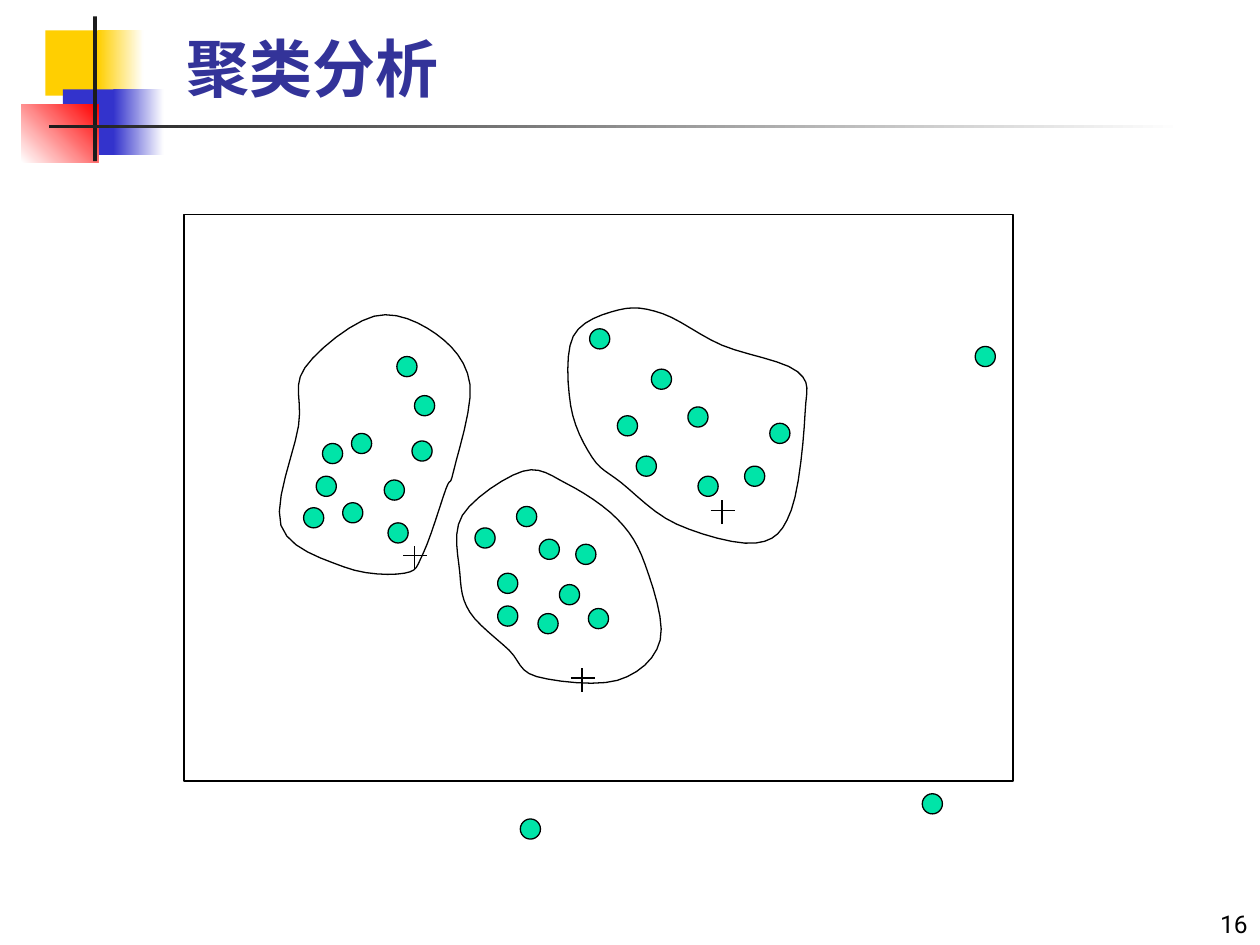
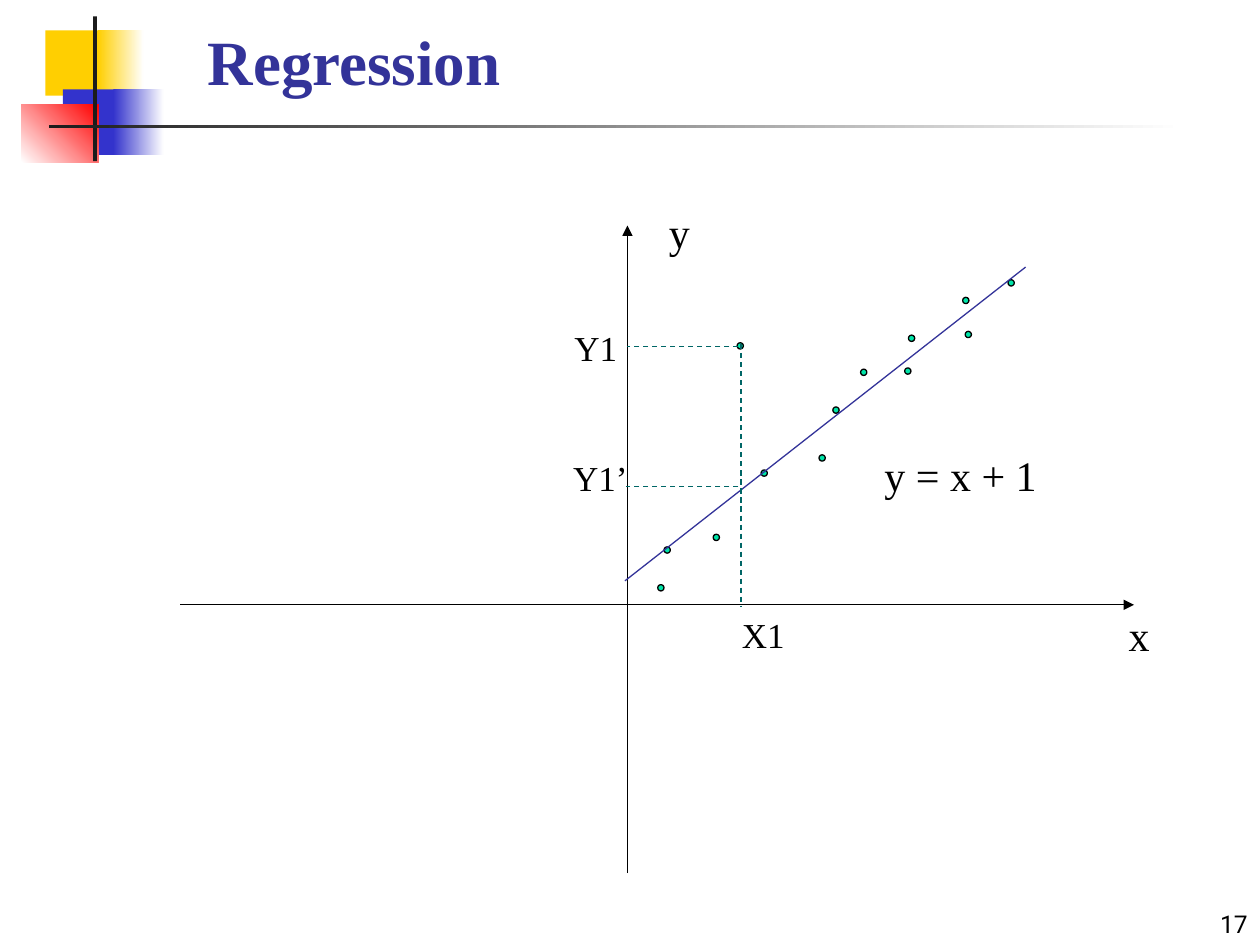
from dataclasses import dataclass
from typing import NamedTuple, Optional

from lxml import etree
from pptx import Presentation
from pptx import util as u
from pptx.dml.color import RGBColor
from pptx.enum import dml, shapes, text
from pptx.oxml import ns

SCALE = 9144  # EMU in one px: 100 px to the inch
STEPS = 6     # line pieces between two ring points


@dataclass(frozen=True)
class Theme:
    yellow: str = "FFCF01"
    blue: str = "3333CC"
    red: str = "FF0000"
    white: str = "FFFFFF"
    dark: str = "1C1C1C"
    black: str = "000000"
    navy: str = "333399"
    teal: str = "006666"
    mint: str = "00E4A8"
    serif: str = "Times New Roman"
    sans: str = "Roboto"
    title: int = 36
    large: int = 24
    mid: int = 20
    small: int = 14
    thin: float = 0.75


T = Theme()


class Box(NamedTuple):
    x: int
    y: int
    w: int
    h: int


class Band(NamedTuple):
    box: Box
    start: str
    end: Optional[str] = None
    angle: int = 0


class Rule(NamedTuple):
    x1: int
    y1: int
    x2: int
    y2: int
    color: str = T.black
    dash: bool = False
    arrow: bool = False


class Label(NamedTuple):
    words: str
    box: Box
    size: int
    font: str = T.serif
    color: str = T.black
    bold: bool = False
    wrap: bool = False
    right: bool = False
    low: bool = False


# Shared corner blocks and rules
BANDS = (
    Band(Box(36, 24, 48, 52), T.yellow),
    Band(Box(78, 24, 36, 52), T.yellow, T.white),
    Band(Box(50, 71, 46, 52), T.blue),
    Band(Box(90, 71, 40, 52), T.blue, T.white),
    Band(Box(17, 83, 61, 46), T.white, T.red, 45),
    Band(Box(74, 13, 3, 115), T.dark),
    Band(Box(39, 99, 900, 3), T.dark, T.white),
)

# Cluster slide: dots by top left corner, crosses by centre
FRAME = Box(146, 170, 658, 450)
LONE = ((732, 630), (413, 650), (774, 275))
LEFT = ((272, 399), (251, 378), (305, 381), (279, 344), (241, 403), (256, 352),
        (308, 415), (327, 350), (329, 314), (315, 283))
RIGHT = ((517, 293), (505, 362), (546, 323), (490, 330), (611, 336), (591, 370),
         (554, 378), (468, 261))
LOWER = ((377, 419), (457, 432), (427, 487), (444, 464), (395, 455), (395, 481),
         (410, 402), (428, 428), (467, 483))
MARKS = ((462, 538), (573, 405), (329, 441))

# Points that each cluster outline runs through
RINGS = (
    ((633, 295), (639, 328), (628, 405), (600, 431), (537, 416), (493, 383),
     (470, 363), (453, 322), (455, 267), (491, 246), (526, 249), (573, 274)),
    ((404, 516), (373, 486), (365, 455), (367, 409), (415, 374), (450, 384),
     (490, 412), (512, 448), (524, 508), (490, 540), (426, 537)),
    ((354, 388), (336, 439), (321, 455), (273, 450), (223, 417), (237, 338),
     (242, 292), (297, 251), (346, 265), (373, 305), (360, 374)),
)

# Regression slide
AXES = (Rule(143, 480, 900, 480, arrow=True), Rule(498, 693, 498, 179, arrow=True))
FIT = Rule(496, 461, 814, 212, T.navy)
GUIDES = (
    Rule(588, 273, 588, 482, T.teal, dash=True),
    Rule(586, 275, 498, 275, T.teal, dash=True),
    Rule(586, 386, 497, 386, T.teal, dash=True),
)
POINTS = ((650, 361), (604, 373), (585, 272), (566, 424), (661, 323), (683, 293),
          (527, 434), (718, 292), (721, 266), (766, 263), (522, 464), (764, 236),
          (800, 222))
NAMES = (
    Label("x", Box(886, 479, 36, 50), T.large),
    Label("y", Box(521, 159, 36, 50), T.large),
    Label("y = x + 1", Box(692, 352, 141, 50), T.large),
)
TICKS = (
    Label("X1", Box(579, 482, 54, 44), T.mid),
    Label("Y1", Box(446, 254, 54, 44), T.mid),
    Label("Y1’", Box(445, 357, 63, 44), T.mid),
)


# Drawing tools
def px(n: float) -> u.Emu:
    return u.Emu(round(n * SCALE))


def rgb(code: str) -> RGBColor:
    return RGBColor.from_string(code)


def ink(line, color: str = T.black) -> None:
    line.color.rgb = rgb(color)
    line.width = u.Pt(T.thin)


def put(slide, kind, box: Box):
    shape = slide.shapes.add_shape(kind, *map(px, box))
    shape.shadow.inherit = False
    return shape


def band(slide, item: Band) -> None:
    shape = put(slide, shapes.MSO_SHAPE.RECTANGLE, item.box)
    shape.line.fill.background()
    if item.end is None:
        shape.fill.solid()
        shape.fill.fore_color.rgb = rgb(item.start)
        return
    shape.fill.gradient()
    shape.fill.gradient_angle = item.angle
    for place, (stop, color) in enumerate(
            zip(shape.fill.gradient_stops, (item.start, item.end))):
        stop.position = place
        stop.color.rgb = rgb(color)


def dots(slide, kind, spots, size: int) -> None:
    for x, y in spots:
        shape = put(slide, kind, Box(x, y, size, size))
        shape.fill.solid()
        shape.fill.fore_color.rgb = rgb(T.mint)
        ink(shape.line)


def rule(slide, item: Rule) -> None:
    line = slide.shapes.add_connector(
        shapes.MSO_CONNECTOR.STRAIGHT, *map(px, item[:4]))
    ink(line.line, item.color)
    if item.dash:
        line.line.dash_style = dml.MSO_LINE.DASH
    props = line._element.spPr
    if item.arrow:
        etree.SubElement(props.find(ns.qn("a:ln")), ns.qn("a:tailEnd"),
                         type="triangle")
    etree.SubElement(props, ns.qn("a:effectLst"))


def label(slide, item: Label) -> None:
    frame = slide.shapes.add_textbox(*map(px, item.box)).text_frame
    frame.word_wrap = item.wrap
    if not item.wrap:
        frame.auto_size = text.MSO_AUTO_SIZE.SHAPE_TO_FIT_TEXT
    if item.low:
        frame.vertical_anchor = text.MSO_ANCHOR.BOTTOM
    line = frame.paragraphs[0]
    line.alignment = text.PP_ALIGN.RIGHT if item.right else text.PP_ALIGN.LEFT
    run = line.add_run()
    run.text = item.words
    run.font.name = item.font
    run.font.size = u.Pt(item.size)
    run.font.bold = item.bold
    run.font.color.rgb = rgb(item.color)


def blend(a: int, b: int, c: int, d: int, t: float) -> float:
    """Smooth step from b to c, led by the neighbours a and d."""
    return b + t / 2 * (c - a + t * (2 * a - 5 * b + 4 * c - d
                                     + t * (3 * (b - c) + d - a)))


def ring(slide, spots) -> None:
    """Closed smooth outline through all spots."""
    pen = slide.shapes.build_freeform(*map(px, spots[0]))
    count = len(spots)
    for i in range(count):
        near = [spots[(i + k) % count] for k in range(-1, 3)]
        pen.add_line_segments(
            [tuple(px(blend(*axis, step / STEPS)) for axis in zip(*near))
             for step in range(1, STEPS + 1)], close=False)
    pen.add_line_segments([], close=True)
    shape = pen.convert_to_shape()
    shape.shadow.inherit = False
    shape.fill.background()
    ink(shape.line)


def base(deck, title: str, box: Box, page: int):
    """New slide with the shared blocks, page number and title."""
    slide = deck.slides.add_slide(deck.slide_layouts[6])
    for item in BANDS:
        band(slide, item)
    label(slide, Label(str(page), Box(792, 708, 208, 42), T.small, T.sans,
                       wrap=True, right=True, low=True))
    label(slide, Label(title, box, T.title, color=T.navy, bold=True,
                       wrap=True, low=True))
    return slide


# Slides
def groups(deck) -> None:
    slide = base(deck, "聚类分析", Box(138, 21, 475, 67), 16)
    for x, y in MARKS:
        rule(slide, Rule(x - 9, y, x + 10, y))
        rule(slide, Rule(x, y + 11, x, y - 8))
    frame = put(slide, shapes.MSO_SHAPE.RECTANGLE, FRAME)
    frame.fill.background()
    ink(frame.line)
    for spots in (LONE, LEFT, RIGHT, LOWER):
        dots(slide, shapes.MSO_SHAPE.FLOWCHART_CONNECTOR, spots, 16)
    for spots in RINGS:
        ring(slide, spots)


def trend(deck) -> None:
    slide = base(deck, "Regression", Box(155, 0, 525, 83), 17)
    for axis in AXES:
        rule(slide, axis)
    dots(slide, shapes.MSO_SHAPE.OVAL, POINTS, 5)
    rule(slide, FIT)
    for name in NAMES:
        label(slide, name)
    for guide in GUIDES:
        rule(slide, guide)
    for tick in TICKS:
        label(slide, tick)


def main() -> None:
    deck = Presentation()
    deck.slide_width, deck.slide_height = px(1000), px(750)
    groups(deck)
    trend(deck)
    deck.save("out.pptx")


if __name__ == "__main__":
    main()
